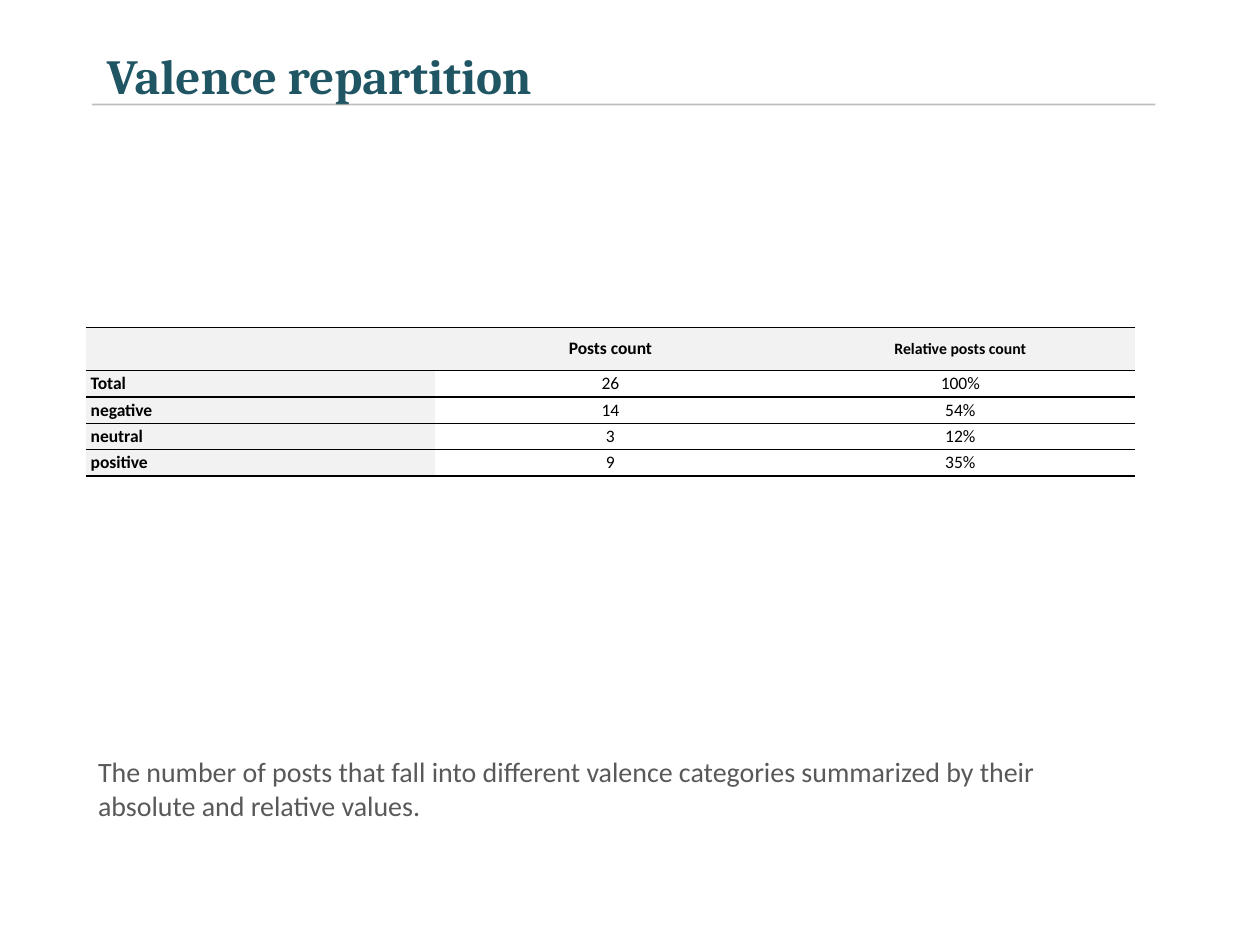
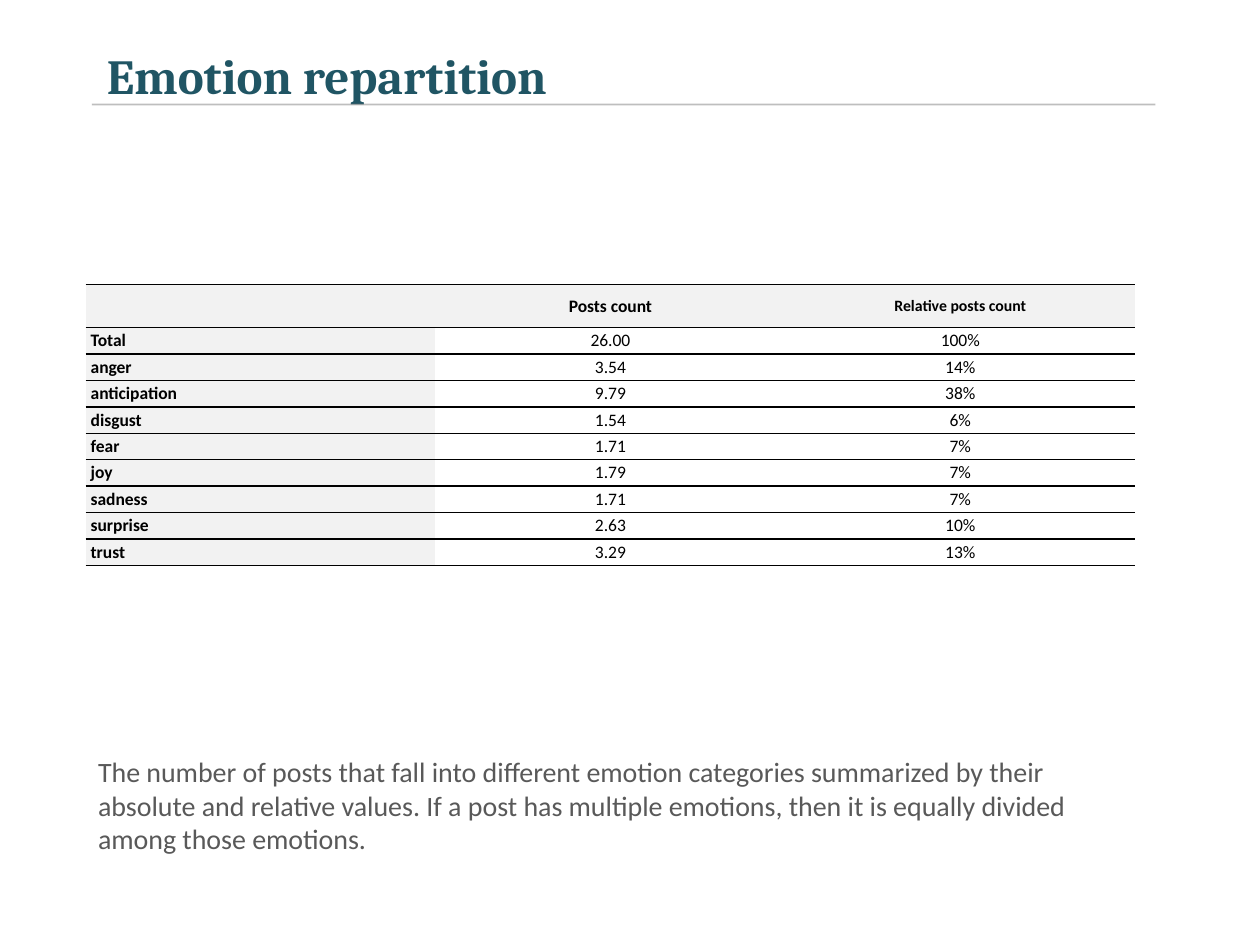
from collections import namedtuple
from dataclasses import dataclass

from lxml import etree
from pptx import Presentation
from pptx.dml.color import RGBColor
from pptx.enum import shapes, text
from pptx.oxml import ns
from pptx.util import Inches, Pt

Box = namedtuple("Box", "left top width height")


@dataclass(frozen=True)
class Theme:
    """Colours, fonts and type sizes shared by the slides."""

    title_color: str = "205564"
    caption_color: str = "595959"
    rule_color: str = "7F7F7F"
    ink: str = "000000"
    label_fill: str = "F2F2F2"
    value_fill: str = "FFFFFF"
    title_font: str = "Cambria"
    body_font: str = "Calibri"
    title_size: int = 28
    caption_size: int = 16
    cell_size: int = 10
    small_size: int = 9


THEME = Theme()
HEADERS = ("", "Posts count", "Relative posts count")
TITLE_BOX = Box(0.75, 0, 8.33, 0.83)
CAPTION_BOX = Box(0.68, 5.94, 8.33, 1.04)
TABLE_LEFT, TABLE_WIDTH = 0.68, 8.33
HEADER_HEIGHT, ROW_HEIGHT = 0.34, 0.21

VALENCES = (
    ("Total", "26", "100%"),
    ("negative", "14", "54%"),
    ("neutral", "3", "12%"),
    ("positive", "9", "35%"),
)
EMOTIONS = (
    ("Total", "26.00", "100%"),
    ("anger", "3.54", "14%"),
    ("anticipation", "9.79", "38%"),
    ("disgust", "1.54", "6%"),
    ("fear", "1.71", "7%"),
    ("joy", "1.79", "7%"),
    ("sadness", "1.71", "7%"),
    ("surprise", "2.63", "10%"),
    ("trust", "3.29", "13%"),
)


def add_element(parent, tag, **attributes):
    """Append a drawing element with the given attributes."""
    return etree.SubElement(parent, ns.qn(tag), attributes)


def style_font(font, name, size, color, bold=False):
    """Set typeface, size, colour and weight."""
    font.name, font.size, font.bold = name, Pt(size), bold
    font.color.rgb = RGBColor.from_string(color)


def add_text(page, box, words, *font_style, top_inset=0.05):
    """Place one wrapped paragraph in a box."""
    frame = page.shapes.add_textbox(*map(Inches, box)).text_frame
    frame.word_wrap = True
    frame.margin_top = Inches(top_inset)
    frame.text = words
    style_font(frame.paragraphs[0].runs[0].font, *font_style)


def add_title(page, box, words):
    """Place the slide title and the translucent rule under it."""
    add_text(page, box, words, THEME.title_font, THEME.title_size,
             THEME.title_color, True, top_inset=0.36)
    left, bottom = box.left - 0.02, box.top + box.height
    rule = page.shapes.add_connector(
        shapes.MSO_CONNECTOR.STRAIGHT,
        *map(Inches, (left, bottom, left + 8.44, bottom)))
    rule.line.width = Pt(1)
    rule.line.color.rgb = RGBColor.from_string(THEME.rule_color)
    color = rule.line._get_or_add_ln().find(".//" + ns.qn("a:srgbClr"))
    add_element(color, "a:alpha", val="49000")
    add_element(rule._element.spPr, "a:effectLst")


def set_borders(cell):
    """Draw black lines above and below a cell and none beside it."""
    properties = cell._tc.get_or_add_tcPr()
    for side in "LRTB":
        line = add_element(properties, f"a:ln{side}", w=str(Pt(1)))
        if side in "LR":
            add_element(line, "a:noFill")
        else:
            fill = add_element(line, "a:solidFill")
            add_element(fill, "a:srgbClr", val=THEME.ink)


def fill_cell(cell, words, row, column):
    """Write and style a cell according to its place in the table."""
    is_label = row == 0 or column == 0
    set_borders(cell)
    cell.fill.solid()
    cell.fill.fore_color.rgb = RGBColor.from_string(
        THEME.label_fill if is_label else THEME.value_fill)
    cell.vertical_anchor = text.MSO_ANCHOR.MIDDLE
    cell.margin_top = cell.margin_bottom = Inches(0.02)
    cell.margin_left = Inches(0 if column else 0.04)
    cell.margin_right = Inches(0 if column else 0.02)
    cell.text = words
    paragraph = cell.text_frame.paragraphs[0]
    paragraph.alignment = text.PP_ALIGN.CENTER if column else text.PP_ALIGN.LEFT
    size = THEME.small_size if (row, column) == (0, 2) else THEME.cell_size
    for span in paragraph.runs:
        style_font(span.font, THEME.body_font, size, THEME.ink, is_label)


def add_counts_table(page, box, records):
    """Place the counts under their header row."""
    rows = (HEADERS, *records)
    table = page.shapes.add_table(
        len(rows), len(HEADERS), *map(Inches, box)).table
    table.first_row = table.horz_banding = False
    for column in table.columns:
        column.width = Inches(box.width / len(HEADERS))
    for row, values in enumerate(rows):
        table.rows[row].height = Inches(ROW_HEIGHT if row else HEADER_HEIGHT)
        for column, words in enumerate(values):
            fill_cell(table.cell(row, column), words, row, column)


def add_repartition_slide(deck, title, table_top, records, caption):
    """Build a slide with a title, a counts table and a caption."""
    page = deck.slides.add_slide(deck.slide_layouts[6])
    add_title(page, TITLE_BOX, title)
    table_height = HEADER_HEIGHT + ROW_HEIGHT * len(records)
    add_counts_table(
        page, Box(TABLE_LEFT, table_top, TABLE_WIDTH, table_height), records)
    add_text(page, CAPTION_BOX, caption, THEME.body_font,
             THEME.caption_size, THEME.caption_color)


def main():
    """Build and save the deck."""
    deck = Presentation()
    deck.slide_width, deck.slide_height = Inches(10), Inches(7.5)
    summary = ("The number of posts that fall into different {} categories "
               "summarized by their absolute and relative values.")
    add_repartition_slide(deck, "Valence repartition", 2.6, VALENCES,
                          summary.format("valence"))
    add_repartition_slide(
        deck, "Emotion repartition", 2.26, EMOTIONS,
        summary.format("emotion") + " If a post has multiple emotions, then "
        "it is equally divided among those emotions.")
    deck.save("out.pptx")


if __name__ == "__main__":
    main()
